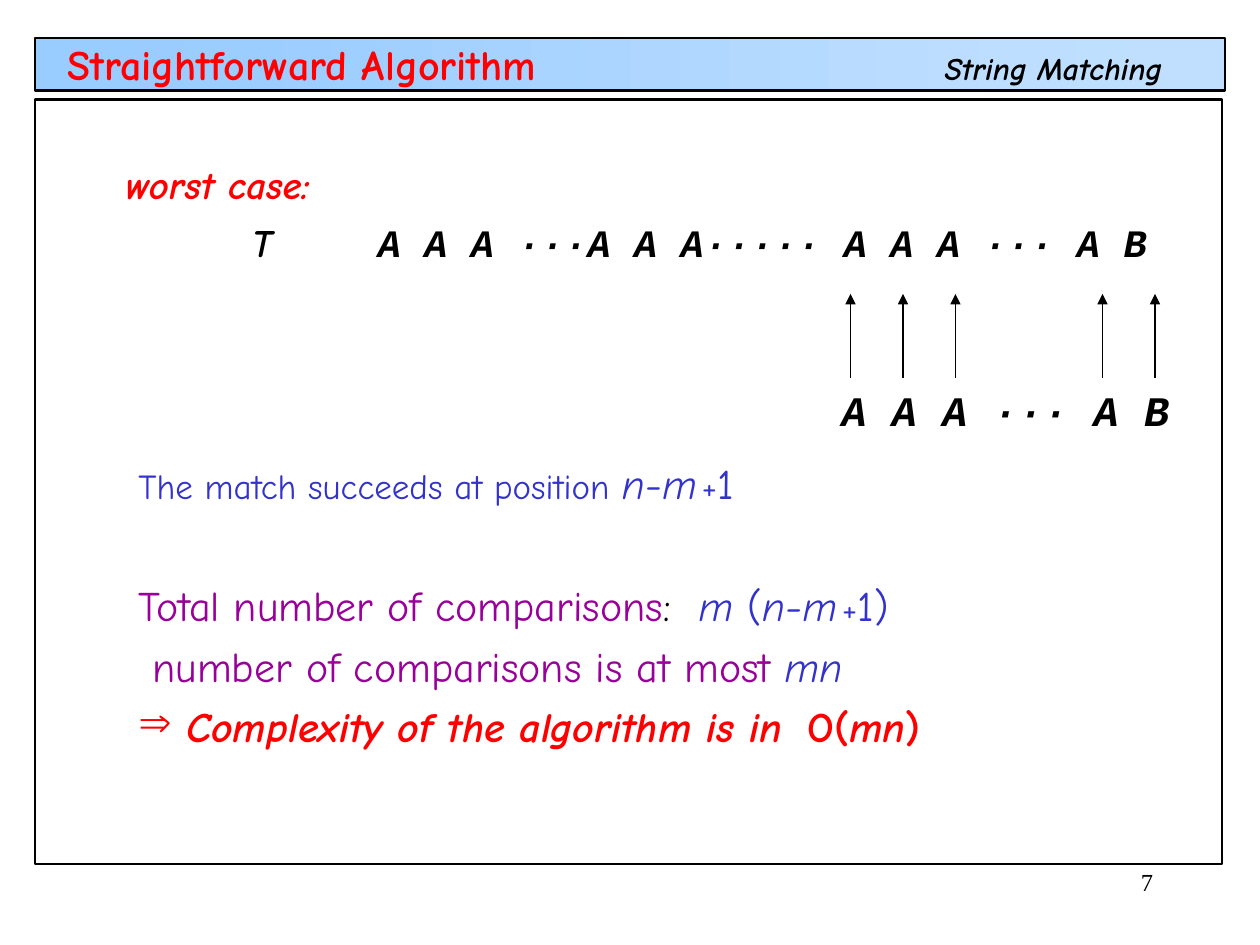
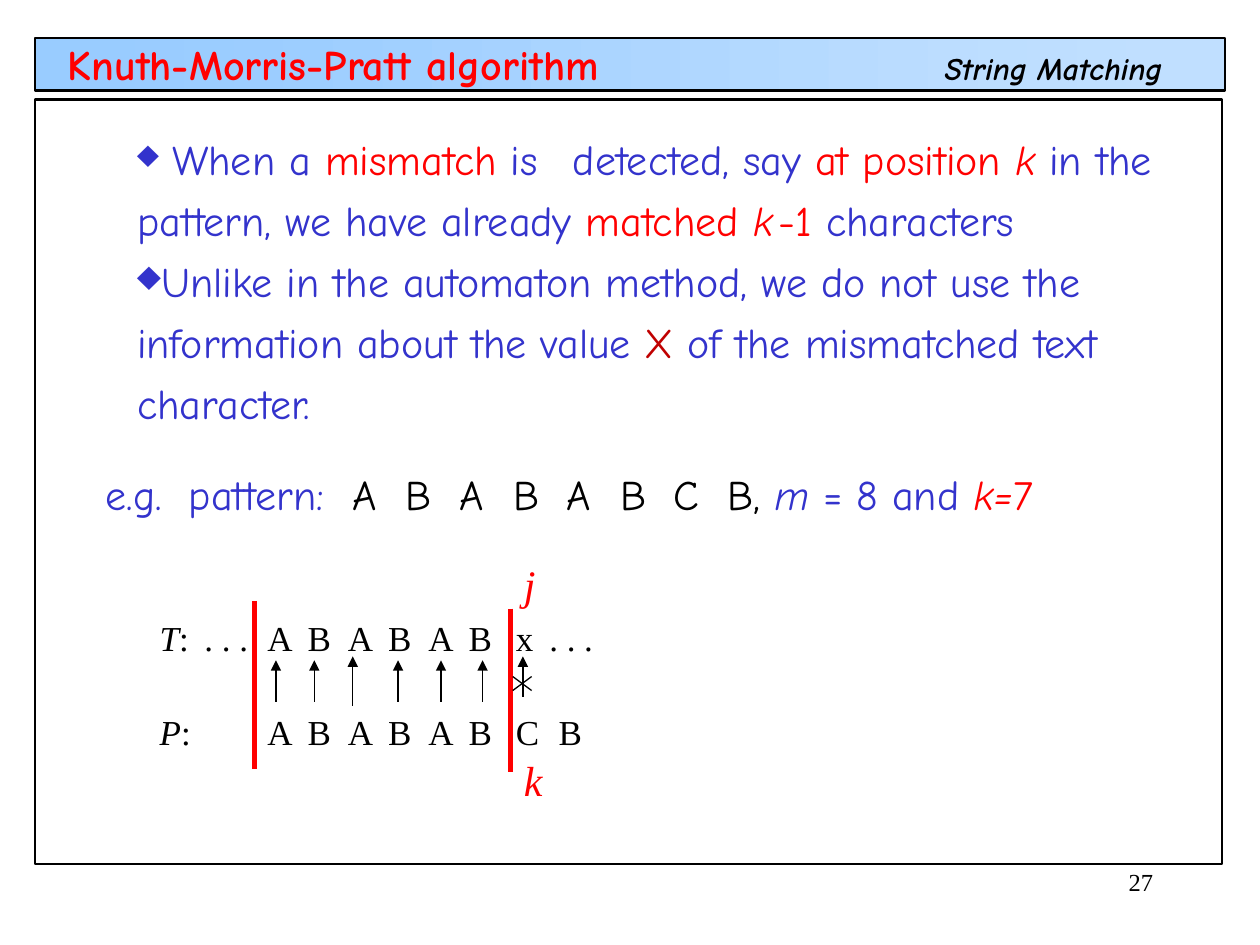
import math

import lxml.etree
import pptx
import pptx.dml.color
import pptx.enum.shapes
import pptx.enum.text
import pptx.oxml.ns
import pptx.util

Pt = pptx.util.Pt
qn = pptx.oxml.ns.qn
RGB = pptx.dml.color.RGBColor.from_string
SHAPE = pptx.enum.shapes.MSO_SHAPE
LINE = pptx.enum.shapes.MSO_CONNECTOR
ANCHOR = pptx.enum.text.MSO_ANCHOR
ALIGN = pptx.enum.text.PP_ALIGN

COLORS = {
    "ink": "000000",
    "key": "FF0000",
    "body": "3333CC",
    "count": "990099",
    "symbol": "C00000",
    "band_start": "99CCFF",
    "band_end": "C0DFFF",
}
COMIC, MONO, SERIF = "Comic Neue", "Courier New", "Times New Roman"
STRIPS = 24
BAND_LEFT, BAND_TOP, BAND_WIDTH, BAND_HEIGHT = 20.2, 21.6, 680, 30.2

# Run formats used on both slides
INK, KEY, BODY = ({"color": name} for name in ("ink", "key", "body"))
COUNT = {"color": "count"}
BODY_ITALIC = BODY | {"italic": True}
KEY_ITALIC = KEY | {"italic": True}
KEY_BOLD = KEY | {"bold": True}
KEY_STRONG = KEY_BOLD | {"italic": True}


class Deck:
    """Holds the shared style and the current slide."""

    def __init__(self):
        self.show = pptx.Presentation()
        self.show.slide_width, self.show.slide_height = Pt(720), Pt(540)
        self.slide = None

    def new_slide(self, title, number):
        self.slide = self.show.slides.add_slide(self.show.slide_layouts[6])
        self.band()
        self.rectangle(BAND_LEFT, BAND_TOP, BAND_WIDTH, BAND_HEIGHT, line="ink")
        self.rectangle(20.2, 56.9, 678.2, 437, line="ink")
        self.text(532.8, 24.5, 150, 28.8, [{"runs": [("String Matching", {})]}],
                  size=18, bold=True, italic=True)
        self.text(570.2, 491.8, 95.8, 36, [{"runs": [(number, {})], "align": ALIGN.RIGHT}],
                  size=14, name=SERIF)
        self.text(31.7, 27.4, 372, 18, [{"runs": [(title, KEY_BOLD)]}],
                  anchor=ANCHOR.MIDDLE)

    def band(self):
        """Blue strips whose colour eases from the start to the end shade."""
        start, end = RGB(COLORS["band_start"]), RGB(COLORS["band_end"])
        pitch = BAND_WIDTH / STRIPS
        for i in range(STRIPS):
            ease = (1 - math.cos(math.pi * i / (STRIPS - 1))) / 2
            shade = "".join(f"{round(a + (b - a) * ease):02X}" for a, b in zip(start, end))
            width = pitch if i == STRIPS - 1 else pitch + 0.7
            self.rectangle(BAND_LEFT + i * pitch, BAND_TOP, width, BAND_HEIGHT, fill=shade)

    def rectangle(self, left, top, width, height, fill=None, line=None):
        box = self.slide.shapes.add_shape(
            SHAPE.RECTANGLE, Pt(left), Pt(top), Pt(width), Pt(height))
        box.shadow.inherit = False
        if fill:
            box.fill.solid()
            box.fill.fore_color.rgb = RGB(fill)
        else:
            box.fill.background()
        if line:
            box.line.color.rgb = RGB(COLORS[line])
            box.line.width = Pt(1.25)
        else:
            box.line.fill.background()

    def text(self, left, top, width, height, paragraphs, anchor=ANCHOR.TOP, **base):
        """Each paragraph is a dict: runs, and optionally before, align, tabs, bullet, indent."""
        box = self.slide.shapes.add_textbox(Pt(left), Pt(top), Pt(width), Pt(height))
        frame = box.text_frame
        frame.word_wrap = True
        frame.vertical_anchor = anchor
        base = {"size": 24, "name": COMIC, "color": "ink"} | base
        for i, content in enumerate(paragraphs):
            paragraph = frame.add_paragraph() if i else frame.paragraphs[0]
            paragraph.alignment = content.get("align", ALIGN.LEFT)
            if i:
                paragraph.space_before = Pt(content.get("before", 6))
            self.paragraph_marks(paragraph, content)
            for words, changes in content["runs"]:
                run = paragraph.add_run()
                run.text = words
                values = base | changes
                run.font.color.rgb = RGB(COLORS[values.pop("color")])
                values["size"] = Pt(values["size"])
                for attribute, value in values.items():
                    setattr(run.font, attribute, value)

    def paragraph_marks(self, paragraph, content):
        """Left indent, coloured bullet and tab stops."""
        props = paragraph._p.get_or_add_pPr()
        if "indent" in content:
            props.set("marL", str(Pt(content["indent"])))
        if "bullet" in content:
            sign, color = content["bullet"]
            shade = lxml.etree.SubElement(props, qn("a:buClr"))
            lxml.etree.SubElement(shade, qn("a:srgbClr"), val=COLORS[color])
            lxml.etree.SubElement(props, qn("a:buChar"), char=sign)
        if "tabs" in content:
            stops = lxml.etree.SubElement(props, qn("a:tabLst"))
            for stop in content["tabs"]:
                lxml.etree.SubElement(stops, qn("a:tab"), pos=str(Pt(stop)), algn="l")

    def line(self, x1, y1, x2, y2, color="ink", width=0.75, arrow=False):
        stroke = self.slide.shapes.add_connector(
            LINE.STRAIGHT, Pt(x1), Pt(y1), Pt(x2), Pt(y2))
        stroke.line.color.rgb = RGB(COLORS[color])
        stroke.line.width = Pt(width)
        props = stroke._element.spPr
        if arrow:
            lxml.etree.SubElement(props.find(qn("a:ln")), qn("a:tailEnd"), type="triangle")
        lxml.etree.SubElement(props, qn("a:effectLst"))


def worst_case_slide(deck):
    deck.new_slide("Straightforward Algorithm", "7")

    # Text row, and the pattern lined up with its end
    deck.text(64.8, 88.5, 625, 66, [
        {"runs": [("worst case:", KEY_BOLD)]},
        {"runs": [("\tT\t", {"bold": True}),
                  ("A A A ···A A A····· A A A ··· A B", {"name": MONO, "bold": True})],
         "tabs": [72, 144]},
    ], size=22.2, italic=True)
    deck.text(473.8, 216, 212, 36, [{"runs": [("A A A ··· A B", {})]}],
              name=MONO, bold=True, italic=True)
    for x in (486, 516, 546, 630, 660):
        deck.line(x, 216, x, 168, arrow=True)

    # Cost of the match
    position = [("n-m", BODY_ITALIC), (" ", BODY_ITALIC | {"size": 8}),
                ("+", BODY | {"size": 20})]
    deck.text(72, 257.8, 588, 175.7, [
        {"runs": [("The match succeeds at position ", BODY | {"size": 20}),
                  *position, ("1", BODY)]},
        {"runs": [("Total number of comparisons", COUNT), (":\t", INK),
                  ("m", BODY_ITALIC), (" (", BODY), *position, ("1)", BODY)],
         "before": 40.8, "tabs": [320]},
        {"runs": [("number of comparisons is at most ", COUNT), ("mn", BODY_ITALIC)],
         "indent": 8},
        {"runs": [(" Complexity of the algorithm is in\t", KEY_STRONG), ("O(", KEY_BOLD),
                  ("mn", KEY_STRONG), (")", KEY_BOLD)],
         "bullet": ("⇒", "key"), "tabs": [382.5]},
    ])


def knuth_morris_pratt_slide(deck):
    deck.new_slide("Knuth-Morris-Pratt algorithm", "27")

    # What is known at a mismatch
    diamond = ("♦", "body")
    deck.text(71.3, 72.7, 625, 175.7, [
        {"runs": [(" ", {"size": 22}), ("When a ", BODY), ("mismatch", KEY),
                  (" is\tdetected, say ", BODY), ("at position", KEY),
                  (" k ", KEY_ITALIC), ("in the", BODY)],
         "bullet": diamond, "tabs": [249]},
        {"runs": [("pattern, we have already ", BODY), ("matched", KEY),
                  (" k", KEY_ITALIC), (" ", KEY_ITALIC | {"size": 9}),
                  ("-1 ", KEY), ("characters", BODY)]},
        {"runs": [("Unlike in the automaton method, we do not use the", BODY)],
         "bullet": diamond},
        {"runs": [("information about the value ", BODY), ("X", {"color": "symbol"}),
                  (" of the mismatched text", BODY)]},
        {"runs": [("character.", BODY)]},
    ])

    # Example pattern
    pattern = "ABABABCB"
    deck.text(53.3, 264.2, 600, 36, [
        {"runs": [("e.g.\tpattern:", BODY), ("\t" + "\t".join(pattern) + ", ", INK),
                  ("m ", BODY_ITALIC), ("= 8 and ", BODY), ("k=", KEY_ITALIC), ("7", KEY)],
         "tabs": [47.5] + [141 + 30.6 * i for i in range(len(pattern))]},
    ])

    # Text and pattern rows share the letter columns
    columns = [61.5 + 23 * i for i in range(6)] + [203.5]
    rows = [
        (402.5, "P", ":\t" + "\t".join(pattern), columns + [228]),
        (348.5, "T", ":\t. . .\t" + "\t".join("ABABABx") + "\t. . .",
         [25.5] + columns + [222.6]),
    ]
    for top, label, letters, tabs in rows:
        deck.text(84.2, top, 290, 55.4, [
            {"runs": [(label, {"italic": True}), (letters, {})], "tabs": tabs},
        ], size=20, name=SERIF)

    # Matched part between red bars
    deck.line(145.4, 343.4, 145.4, 439.2, "key", 3)
    deck.line(291.6, 347.8, 291.6, 441.4, "key", 3)
    for x in (157.7, 179.6, 227.5, 252, 275.8):
        deck.line(x, 401, x, 377.3, arrow=True)
    deck.line(201.6, 403.2, 201.6, 375.1, arrow=True)

    # Crossed arrow at the mismatch
    deck.line(298.8, 398.2, 298.8, 375.1, arrow=True)
    for y1, y2 in ((386.6, 394.6), (394.6, 386.6)):
        deck.line(303.8, y1, 293, y2)
    for top, index in ((427.7, "k"), (315.4, "j")):
        deck.text(292.3, top, 25.2, 36, [{"runs": [(index, KEY_ITALIC)]}], name=SERIF)


def main():
    deck = Deck()
    worst_case_slide(deck)
    knuth_morris_pratt_slide(deck)
    deck.show.save("out.pptx")


if __name__ == "__main__":
    main()
